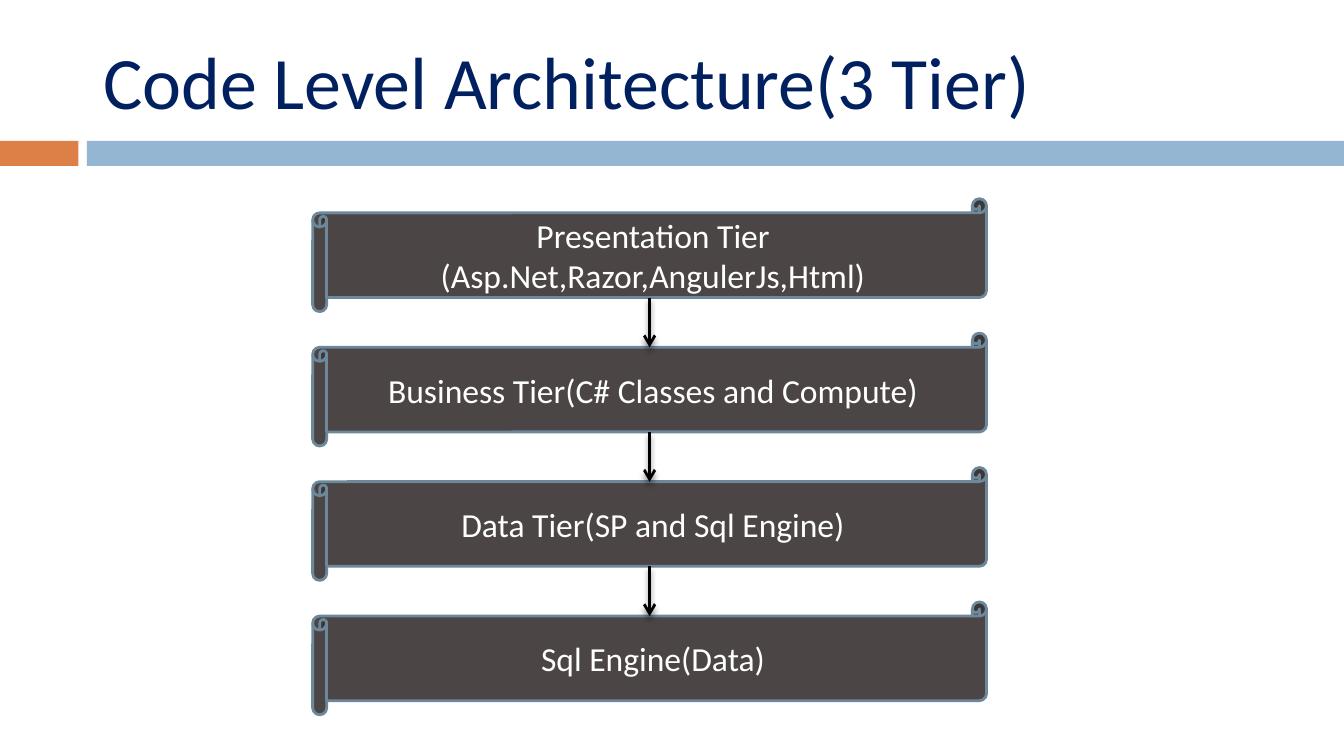
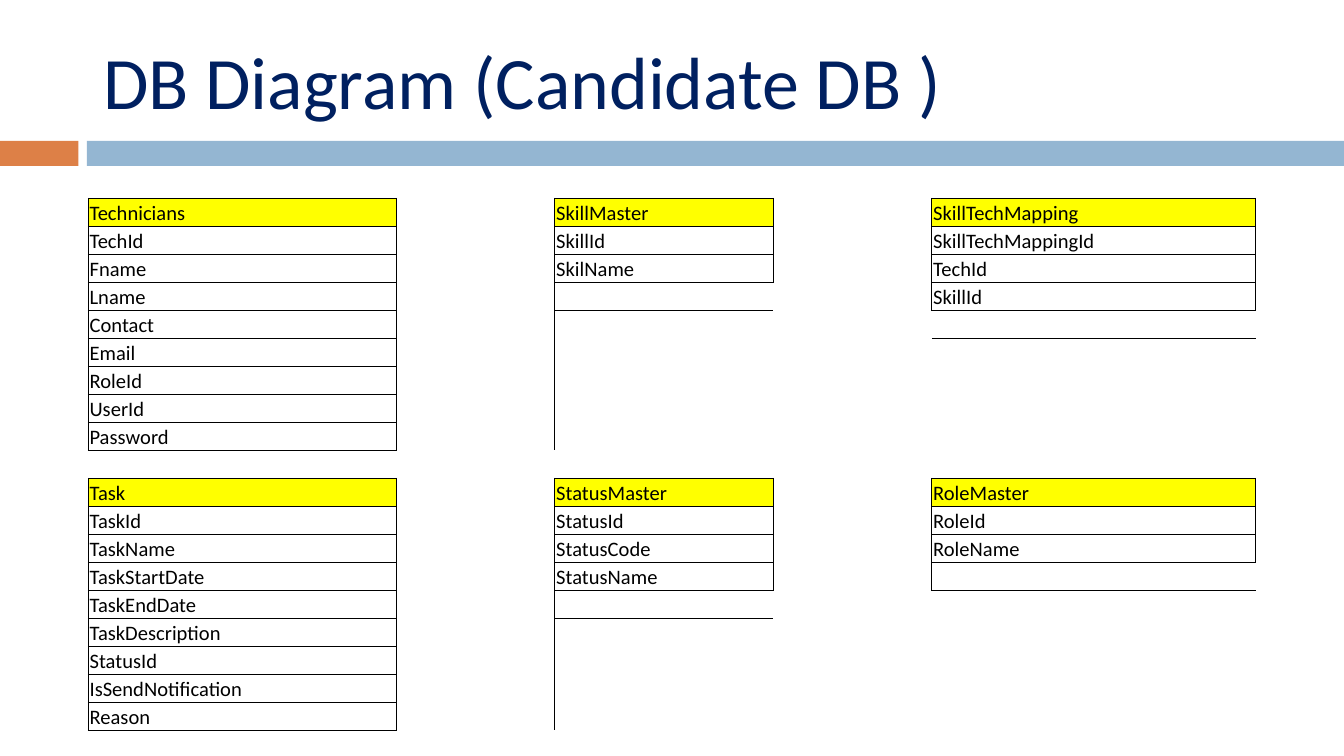
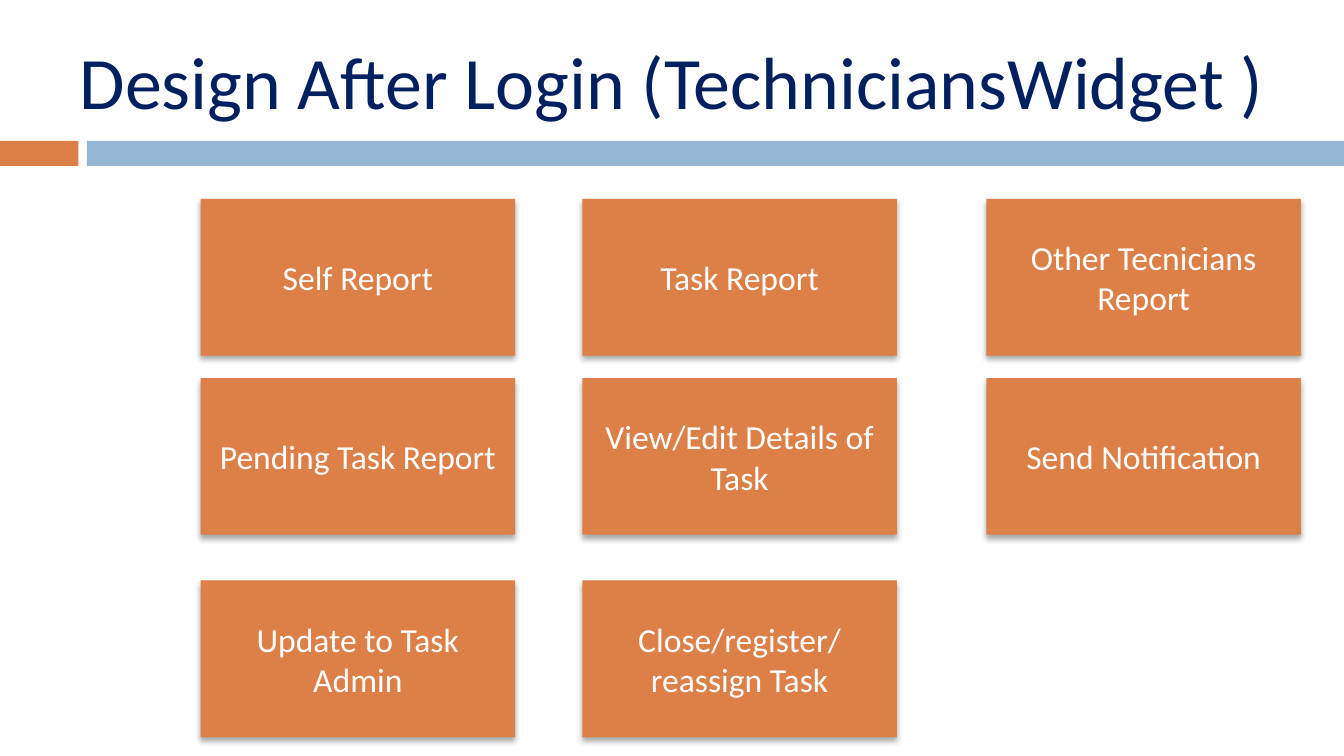
from itertools import pairwise, product
from lxml.etree import SubElement
from pptx import Presentation
from pptx.dml.color import RGBColor
from pptx.enum.shapes import MSO_CONNECTOR, MSO_SHAPE
from pptx.enum.text import MSO_ANCHOR, PP_ALIGN
from pptx.oxml.ns import qn
from pptx.util import Pt

FONT = "Calibri"
NAVY, ORANGE, BLUE = "002060", "DD8047", "94B6D2"
DARK, STEEL, YELLOW = "4C4545", "6D879B", "FFFF00"
WHITE, BLACK = "FFFFFF", "000000"

BANDS = [(0, 42, ORANGE), (46.6, 673.4, BLUE)]

TIERS = [
    "Presentation Tier (Asp.Net,Razor,AngulerJs,Html)",
    "Business Tier(C# Classes and Compute)",
    "Data Tier(SP and Sql Engine)",
    "Sql Engine(Data)",
]

WIDTHS = [165, 85, 117, 85, 173.5]
ENTITIES = {
    (0, 0): ["Technicians", "TechId", "Fname", "Lname", "Contact", "Email",
             "RoleId", "UserId", "Password"],
    (0, 2): ["SkillMaster", "SkillId", "SkilName"],
    (0, 4): ["SkillTechMapping", "SkillTechMappingId", "TechId", "SkillId"],
    (10, 0): ["Task", "TaskId", "TaskName", "TaskStartDate", "TaskEndDate",
              "TaskDescription", "StatusId", "IsSendNotification", "Reason"],
    (10, 2): ["StatusMaster", "StatusId", "StatusCode", "StatusName"],
    (10, 4): ["RoleMaster", "RoleId", "RoleName"],
}
ROWS = 19

CARDS = [
    (106.5, ["Self Report", "Task Report", "Other Tecnicians Report"]),
    (202.5, ["Pending Task Report", "View/Edit Details of Task",
             "Send Notification"]),
    (311, ["Update to Task Admin", "Close/register/ reassign Task"]),
]
LEFTS = [107.5, 312, 528.5]


def tint(code):
    return RGBColor.from_string(code)


def write(par, text, size, color):
    run = par.add_run()
    run.text = text
    run.font.name = FONT
    run.font.size = Pt(size)
    run.font.color.rgb = tint(color)


def draw(slide, kind, box, fill, text=None, line=None):
    shape = slide.shapes.add_shape(kind, *map(Pt, box))
    shape.shadow.inherit = False
    shape.fill.solid()
    shape.fill.fore_color.rgb = tint(fill)
    if line:
        shape.line.color.rgb = tint(line)
        shape.line.width = Pt(1.5)
    else:
        shape.line.fill.background()
    if text:
        frame = shape.text_frame
        frame.word_wrap = True
        frame.vertical_anchor = MSO_ANCHOR.MIDDLE
        par = frame.paragraphs[0]
        par.alignment = PP_ALIGN.CENTER
        write(par, text, 18, WHITE)
    return shape


def shade(effect, alpha, drop):
    cast = SubElement(effect, qn("a:outerShdw"), blurRad=str(Pt(3)),
                      dist=str(Pt(drop)), dir="5400000", rotWithShape="0")
    color = SubElement(cast, qn("a:srgbClr"), val=BLACK)
    SubElement(color, qn("a:alpha"), val=str(alpha * 1000))


def start(deck, text, left=48):
    slide = deck.slides.add_slide(deck.slide_layouts[5])
    title = slide.shapes.title
    title.left, title.top = Pt(left), Pt(13.5)
    title.width, title.height = Pt(690 - left), Pt(58.5)
    frame = title.text_frame
    frame.word_wrap = True
    frame.vertical_anchor = MSO_ANCHOR.MIDDLE
    par = frame.paragraphs[0]
    par.alignment = PP_ALIGN.LEFT
    write(par, text, 39.6, NAVY)
    return slide


def add_bands(deck, slide):
    tree = deck.slide_layouts[5].shapes.element
    for left, width, color in BANDS:
        band = draw(slide, MSO_SHAPE.RECTANGLE, (left, 75.5, width, 13.5), color)
        tree.append(band.element)


def link(slide, upper, lower):
    arrow = slide.shapes.add_connector(MSO_CONNECTOR.STRAIGHT, 0, 0, 0, 0)
    arrow.begin_connect(upper, 2)
    arrow.end_connect(lower, 0)
    curl = Pt(7.6)
    arrow.begin_y = upper.top + upper.height - curl
    arrow.end_y = lower.top + curl
    arrow.line.color.rgb = tint(BLACK)
    arrow.line.width = Pt(1.5)
    SubElement(arrow.line._get_or_add_ln(), qn("a:tailEnd"), type="arrow")
    shade(SubElement(arrow.element.spPr, qn("a:effectLst")), 45, 2.4)


def add_tiers(slide):
    scrolls = [
        draw(slide, MSO_SHAPE.HORIZONTAL_SCROLL,
             (167.5, 106.5 + 72 * row, 361, 60.5), DARK, text, STEEL)
        for row, text in enumerate(TIERS)
    ]
    for upper, lower in pairwise(scrolls):
        link(slide, upper, lower)


def edge(cell, side):
    line = SubElement(cell._tc.get_or_add_tcPr(), qn("a:ln" + side),
                      w=str(Pt(0.5)))
    fill = SubElement(line, qn("a:solidFill"))
    SubElement(fill, qn("a:srgbClr"), val=BLACK)


def add_grid(slide):
    frame = slide.shapes.add_table(ROWS, len(WIDTHS), Pt(47.3), Pt(106.3),
                                   Pt(sum(WIDTHS)), Pt(15 * ROWS))
    grid = frame.table
    grid.first_row = grid.horz_banding = False
    style = grid._tbl.tblPr.find(qn("a:tableStyleId"))
    style.text = "{2D5ABB26-0587-4C30-8999-92F81FD0307C}"
    for col, width in zip(grid.columns, WIDTHS):
        col.width = Pt(width)
    for row in grid.rows:
        row.height = Pt(15)
    names = {(top + step, col): name
             for (top, col), fields in ENTITIES.items()
             for step, name in enumerate(fields)}
    for row, col in product(range(ROWS), range(len(WIDTHS))):
        spot = row, col
        cell = grid.cell(row, col)
        cell.margin_left = cell.margin_right = cell.margin_top = Pt(0.7)
        cell.margin_bottom = 0
        cell.vertical_anchor = MSO_ANCHOR.BOTTOM
        near = {"L": (row, col - 1), "R": (row, col + 1),
                "T": (row - 1, col), "B": (row + 1, col)}
        for side, other in near.items():
            if spot in names or other in names:
                edge(cell, side)
        if spot in ENTITIES:
            cell.fill.solid()
            cell.fill.fore_color.rgb = tint(YELLOW)
        else:
            cell.fill.background()
        par = cell.text_frame.paragraphs[0]
        if spot in names:
            write(par, names[spot], 11, BLACK)
        else:
            SubElement(par._p, qn("a:endParaRPr"), sz="1100")


def add_cards(slide):
    for top, labels in CARDS:
        for left, text in zip(LEFTS, labels):
            card = draw(slide, MSO_SHAPE.RECTANGLE, (left, top, 168.5, 84),
                        ORANGE, text)
            shade(card.element.spPr.find(qn("a:effectLst")), 35, 2)


def main():
    deck = Presentation()
    deck.slide_width, deck.slide_height = Pt(720), Pt(405)
    slide = start(deck, "Code Level Architecture(3 Tier)")
    add_bands(deck, slide)
    add_tiers(slide)
    add_grid(start(deck, "DB Diagram (Candidate DB )"))
    add_cards(start(deck, "Design After Login (TechniciansWidget )", 35.5))
    deck.save("out.pptx")


if __name__ == "__main__":
    main()
